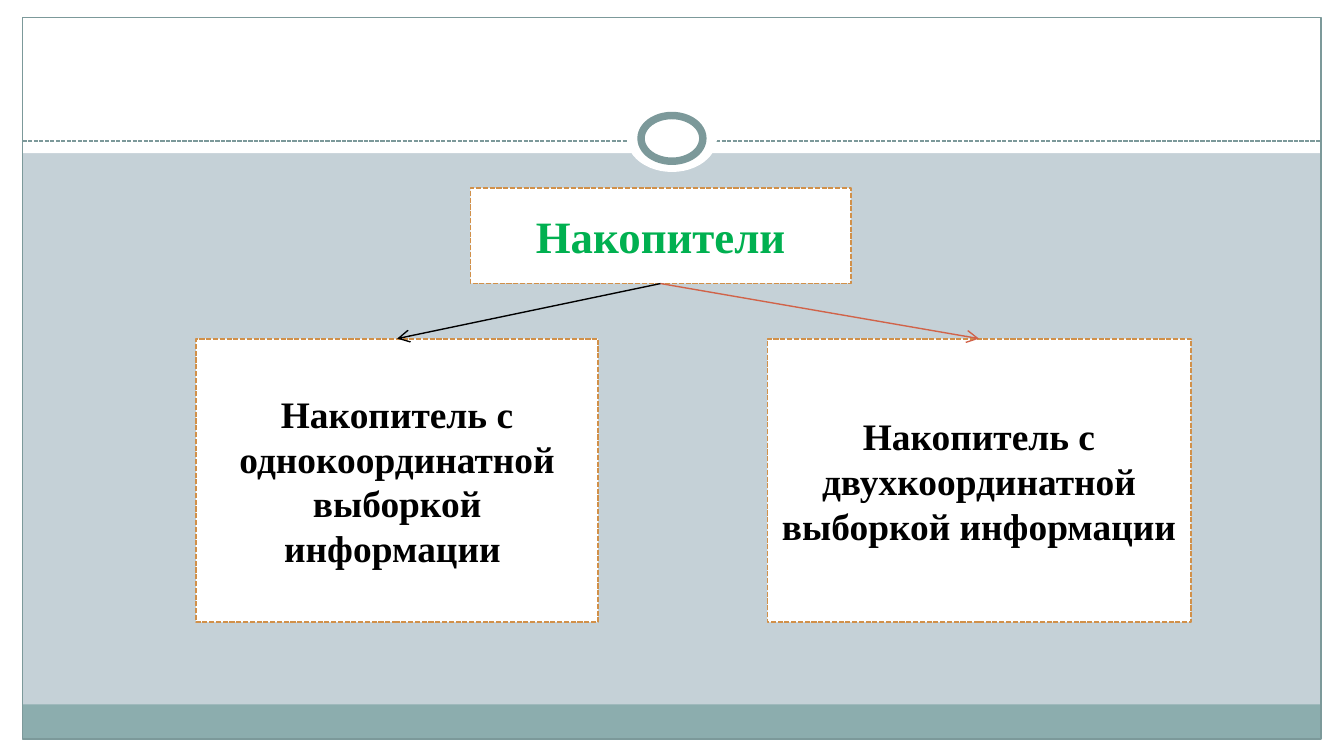
from lxml.etree import SubElement
from pptx import Presentation
from pptx.dml.color import RGBColor
from pptx.enum.dml import MSO_LINE
from pptx.enum.shapes import MSO_CONNECTOR, MSO_SHAPE
from pptx.enum.text import MSO_ANCHOR, MSO_AUTO_SIZE, PP_ALIGN
from pptx.oxml.ns import qn
from pptx.util import Inches, Pt

COLORS = {
    "background": "C5D1D7", "white": "FFFFFF", "footer": "8CADAE",
    "frame": "7C999A", "border": "D19049", "heading": "00B050",
    "black": "000000", "red": "D16349",
}
WIDTH = 10
HEIGHT = WIDTH * 9 / 16
BOTTOM_SITE, TOP_SITE = 2, 0


def color(name):
    return RGBColor.from_string(COLORS[name])


def style_line(line, name, width, dashed=False):
    line.color.rgb = color(name)
    line.width = Pt(width)
    if dashed:
        line.dash_style = MSO_LINE.SQUARE_DOT


def add_part(slide, preset, box, fill=None):
    part = slide.shapes.add_shape(preset, *map(Inches, box))
    part.shadow.inherit = False
    if fill:
        part.fill.solid()
        part.fill.fore_color.rgb = color(fill)
    else:
        part.fill.background()
    part.line.fill.background()
    return part


def add_line(slide, start, end, name, dashed=False):
    line = slide.shapes.add_connector(
        MSO_CONNECTOR.STRAIGHT, *map(Inches, (*start, *end)))
    style_line(line.line, name, 0.75, dashed)
    SubElement(line._element.spPr, qn("a:effectLst"))
    return line


def add_ring(slide, center_x, center_y):
    for width, height in ((0.67, 0.5), (0.46, 0.34)):
        ring = add_part(slide, MSO_SHAPE.OVAL,
                        (center_x - width / 2, center_y - height / 2, width, height), "white")
    style_line(ring.line, "frame", 4)


def add_frame(slide, left, top, width, height):
    right, bottom = left + width, top + height
    # White margins and header band
    for box in ((0, bottom, WIDTH, HEIGHT - bottom), (0, 0, WIDTH, 1.14),
                (0, 0, left, HEIGHT), (right, 0, WIDTH - right, HEIGHT)):
        add_part(slide, MSO_SHAPE.RECTANGLE, box, "white")
    # Footer band and outline
    add_part(slide, MSO_SHAPE.RECTANGLE, (left, bottom - 0.26, width, 0.25), "footer")
    outline = add_part(slide, MSO_SHAPE.RECTANGLE, (left, top, width, height))
    style_line(outline.line, "frame", 0.75)
    # Header rule and ring
    add_line(slide, (left, 1.05), (right, 1.05), "frame", dashed=True)
    add_ring(slide, left + width / 2, 1.03)


def format_card(card, text, size, text_color):
    card.fill.solid()
    card.fill.fore_color.rgb = color("white")
    style_line(card.line, "border", 0.9, dashed=True)
    frame = card.text_frame
    frame.text = text
    frame.word_wrap = True
    frame.auto_size = MSO_AUTO_SIZE.NONE
    frame.vertical_anchor = MSO_ANCHOR.MIDDLE
    paragraph = frame.paragraphs[0]
    paragraph.alignment = PP_ALIGN.CENTER
    font = paragraph.runs[0].font
    font.name, font.size, font.bold = "Times New Roman", Pt(size), True
    font.color.rgb = color(text_color)


def add_branch(slide, heading, box, text, arrow_color):
    card = add_part(slide, MSO_SHAPE.RECTANGLE, box)
    format_card(card, text, 20, "black")
    arrow = add_line(slide, (0, 0), (1, 1), arrow_color)
    arrow.begin_connect(heading, BOTTOM_SITE)
    arrow.end_connect(card, TOP_SITE)
    SubElement(arrow.line._get_or_add_ln(), qn("a:tailEnd"), type="arrow")


def add_hierarchy(slide, left, top):
    # Heading
    heading = slide.shapes.title
    heading.left, heading.top = Inches(left + 2.04), Inches(top)
    heading.width, heading.height = Inches(2.83), Inches(0.71)
    format_card(heading, "Накопители", 24, "heading")
    # Branches
    branches = (
        (0, 2.99, "Накопитель с однокоординатной выборкой информации ", "black"),
        (4.25, 3.15, "Накопитель с двухкоординатной выборкой информации", "red"),
    )
    for offset, width, text, arrow_color in branches:
        add_branch(slide, heading, (left + offset, top + 1.12, width, 2.11), text, arrow_color)


presentation = Presentation()
presentation.slide_width, presentation.slide_height = Inches(WIDTH), Inches(HEIGHT)
slide = presentation.slides.add_slide(presentation.slide_layouts.get_by_name("Title Only"))
slide.background.fill.solid()
slide.background.fill.fore_color.rgb = color("background")
add_frame(slide, 0.17, 0.13, 9.66, 5.37)
add_hierarchy(slide, 1.46, 1.4)
presentation.save("out.pptx")
